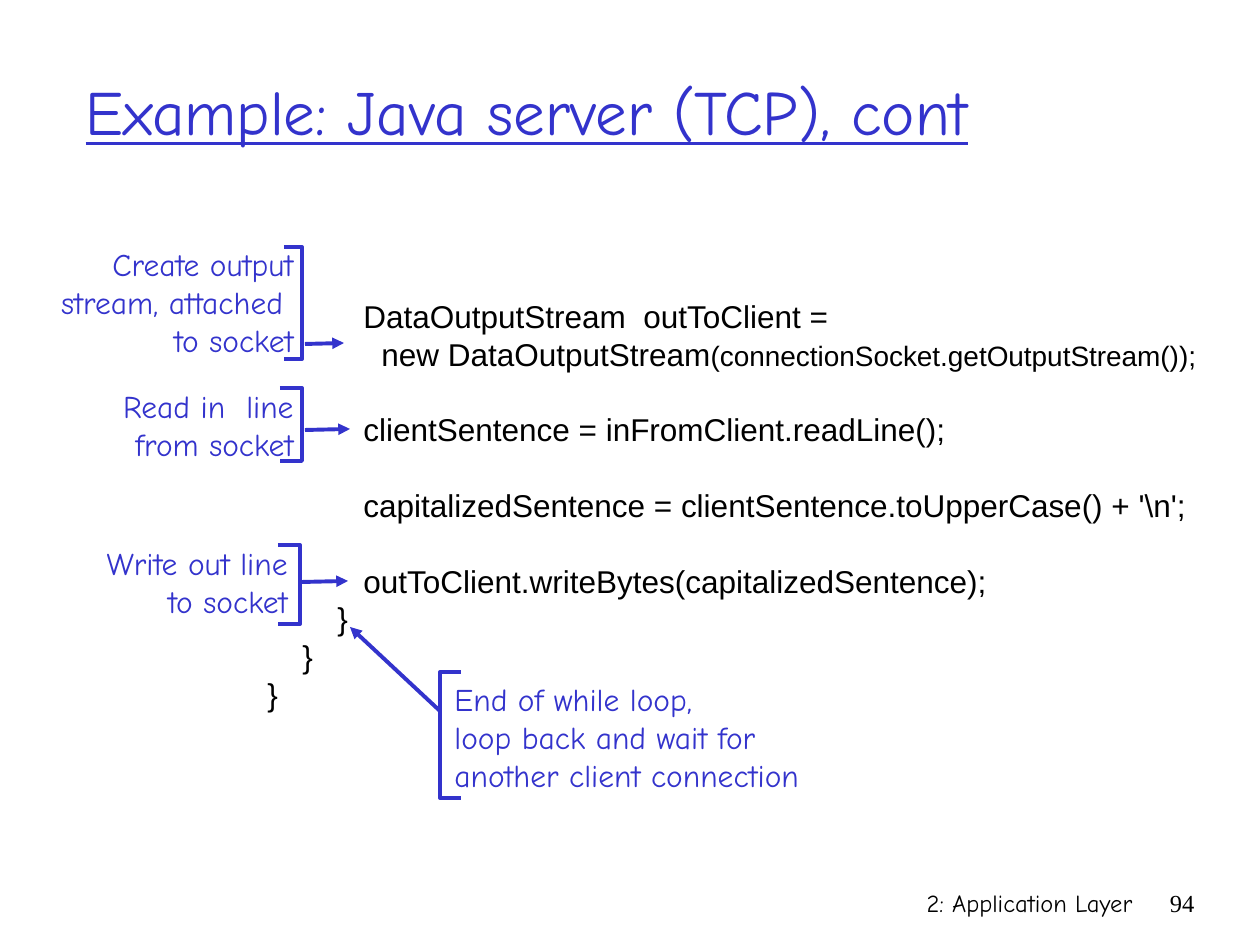
from lxml import etree
from pptx import Presentation
from pptx.dml.color import RGBColor
from pptx.enum.shapes import MSO_CONNECTOR
from pptx.enum.text import MSO_ANCHOR, MSO_AUTO_SIZE, PP_ALIGN
from pptx.oxml.ns import qn
from pptx.util import Emu, Pt

PX = 914400 // 126
LEFT, RIGHT = PP_ALIGN.LEFT, PP_ALIGN.RIGHT
TOP, MIDDLE = MSO_ANCHOR.TOP, MSO_ANCHOR.MIDDLE
STRAIGHT = MSO_CONNECTOR.STRAIGHT


class Theme:
    blue = RGBColor(0x33, 0x33, 0xCC)
    black = RGBColor(0, 0, 0)
    hand, code, serif = "Comic Neue", "Arial", "Times New Roman"
    title, body, small, foot = 36, 18, 16, 14
    pitch = 21.6
    line = 2.25


TITLE = "Example: Java server (TCP), cont"

# indent in px, blank lines above, runs of (text, size)
CODE = [
    (96, 0, [("DataOutputStream  outToClient =", Theme.body)]),
    (114, 0, [("new DataOutputStream", Theme.body),
              ("(connectionSocket.getOutputStream());", Theme.small)]),
    (96, 1, [("clientSentence = inFromClient.readLine();", Theme.body)]),
    (96, 1, [("capitalizedSentence = clientSentence.toUpperCase() + '\\n';",
              Theme.body)]),
    (96, 1, [("outToClient.writeBytes(capitalizedSentence);", Theme.body)]),
    (70, 0, [("}", Theme.body)]),
    (35, 0, [("}", Theme.body)]),
    (0, 0, [("}", Theme.body)]),
]

# bracket: spine x, arm end x, top, bottom; arrow: from x, y, to x, y
NOTES = [
    dict(lines=["Create output", "stream, attached ", "to socket"],
         box=(18, 239, 288, 126), align=RIGHT,
         bracket=(302, 284, 247, 359), arrow=(305, 344, 344, 343)),
    dict(lines=["Read in  line", "from socket"],
         box=(102, 381, 204, 88), align=RIGHT,
         bracket=(302, 280, 388, 461), arrow=(305, 430, 350, 429)),
    dict(lines=["Write out line", "to socket"],
         box=(68, 538, 232, 88), align=RIGHT,
         bracket=(300, 278, 545, 624), arrow=(302, 582, 348, 581)),
    dict(lines=["End of while loop,", "loop back and wait for",
                "another client connection"],
         box=(442, 674, 397, 126), align=LEFT,
         bracket=(440, 461, 672, 798), arrow=(440, 711, 350, 627)),
]

FOOTER = [
    ("2: Application Layer", Theme.hand, (746, 882, 399, 63)),
    ("94", Theme.serif, (1144, 882, 63, 63)),
]


def emu(*vals):
    return [Emu(v * PX) for v in vals]


def write(shape, rows, font, color, align=LEFT, anchor=TOP, pitch=None,
          under=None):
    """Fill a shape with rows of (indent, blank lines above, runs)."""
    frame = shape.text_frame
    frame.word_wrap = True
    frame.auto_size = MSO_AUTO_SIZE.NONE
    frame.vertical_anchor = anchor
    for i, (indent, blank, runs) in enumerate(rows):
        para = frame.add_paragraph() if i else frame.paragraphs[0]
        para.alignment = align
        if pitch:
            para.line_spacing = Pt(pitch)
            para.space_before = Pt(pitch * blank)
        if indent:
            para._p.get_or_add_pPr().set("marL", str(indent * PX))
        for text, size in runs:
            run = para.add_run()
            run.text = text
            run.font.name = font
            run.font.size = Pt(size)
            run.font.color.rgb = color
            run.font.underline = under
    return frame


def plain(lines, size):
    return [(0, 0, [(line, size)]) for line in lines]


def stroke(shape):
    shape.line.color.rgb = Theme.blue
    shape.line.width = Pt(Theme.line)


def draw_bracket(shapes, spine, arm, top, low):
    pen = shapes.build_freeform(arm, top, scale=PX)
    pen.add_line_segments([(spine, top), (spine, low), (arm, low)],
                          close=False)
    shape = pen.convert_to_shape()
    shape.shadow.inherit = False
    shape.fill.background()
    stroke(shape)


def draw_arrow(shapes, ends):
    line = shapes.add_connector(STRAIGHT, *emu(*ends))
    stroke(line)
    etree.SubElement(line.line._get_or_add_ln(), qn("a:tailEnd"),
                     type="triangle")
    etree.SubElement(line._element.spPr, qn("a:effectLst"))


def main():
    deck = Presentation()
    deck.slide_width, deck.slide_height = emu(1260, 945)
    slide = deck.slides.add_slide(deck.slide_layouts[5])
    shapes = slide.shapes

    title = shapes.title
    title.left, title.top, title.width, title.height = emu(73, 32, 1071, 157)
    write(title, plain([TITLE], Theme.title), Theme.hand, Theme.blue,
          anchor=MIDDLE, under=True)

    code = shapes.add_textbox(*emu(255, 223, 964, 547))
    frame = write(code, CODE, Theme.code, Theme.black, pitch=Theme.pitch)
    frame.margin_top = Emu(74 * PX)

    for note in NOTES:
        box = shapes.add_textbox(*emu(*note["box"]))
        write(box, plain(note["lines"], Theme.body), Theme.hand, Theme.blue,
              align=note["align"], anchor=MIDDLE, pitch=Theme.pitch)
        draw_bracket(shapes, *note["bracket"])
        draw_arrow(shapes, note["arrow"])

    for text, font, place in FOOTER:
        write(shapes.add_textbox(*emu(*place)), plain([text], Theme.foot),
              font, Theme.black, align=RIGHT)

    deck.save("out.pptx")


if __name__ == "__main__":
    main()
